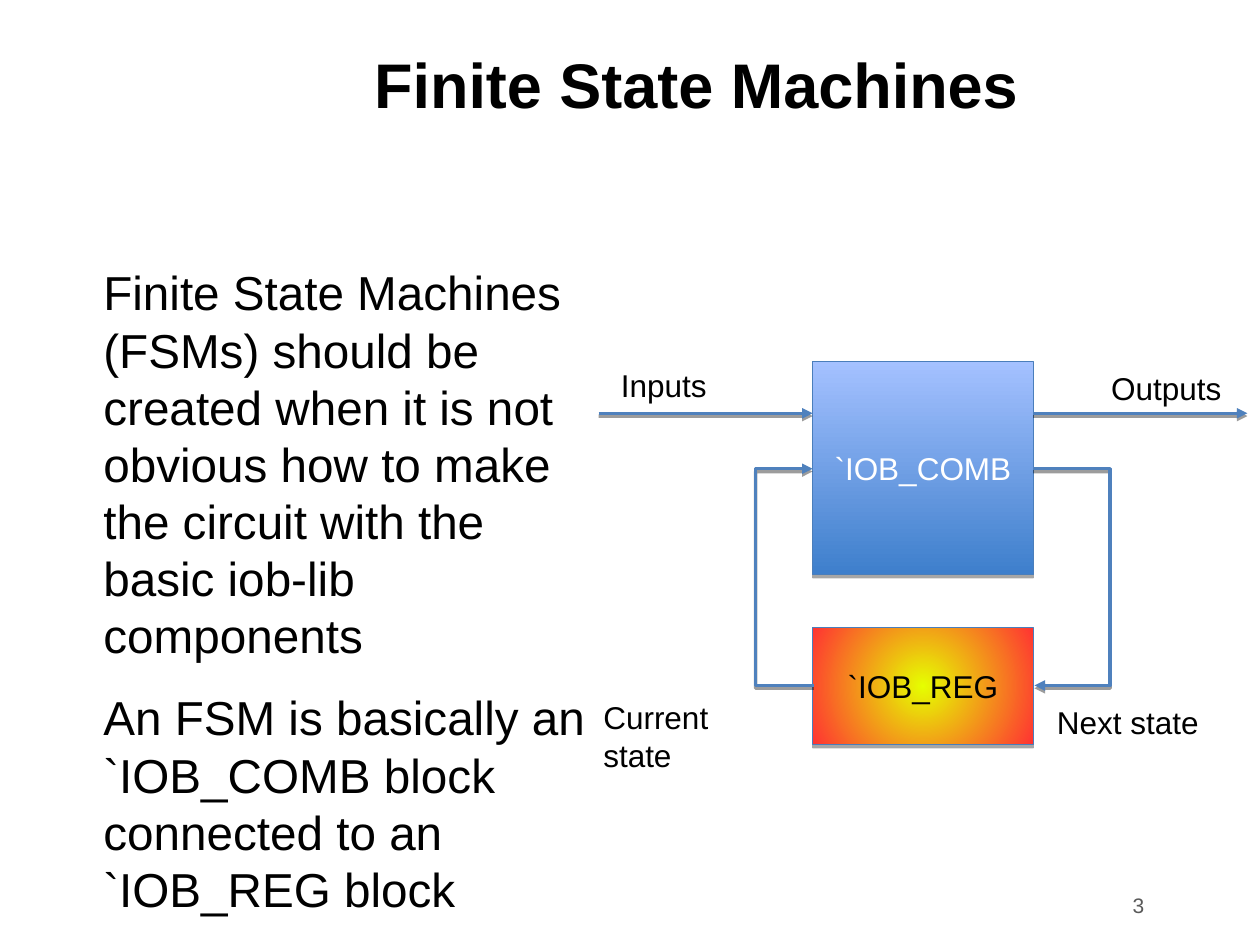
from lxml.etree import SubElement as Sub
from pptx import Presentation
from pptx.dml.color import RGBColor as Rgb
from pptx.enum.shapes import MSO_CONNECTOR as Link, MSO_SHAPE as Form
from pptx.enum.text import MSO_ANCHOR as Anchor, MSO_AUTO_SIZE as Fit, PP_ALIGN as Align
from pptx.oxml.ns import qn
from pptx.util import Inches, Pt

THEME = {
    "face": "Arial",
    "ink": "000000", "white": "FFFFFF", "grey": "595959",
    "edge": "4A7EBB", "wire": "4F81BD",
    "cool": ("3E7FCC", "A4C1FF"), "warm": ("E6FF00", "FF3333"),
    "title": 36, "body": 27.2, "label": 18, "page": 12,
}
COLS, ROWS = 100, 75

TITLE = "Finite State Machines"
POINTS = [
    "Finite State Machines (FSMs) should be created when it is not obvious "
    "how to make the circuit with the basic iob-lib components",
    "An FSM is basically an `IOB_COMB block connected to an `IOB_REG block",
]
LEFT, RIGHT = 64.5, 82
BLOCKS = [
    ("`IOB_COMB", 28.7, 16.9, "cool", "white", False),
    ("`IOB_REG", 49.8, 9.3, "warm", "ink", True),
]
LABELS = [
    ("Inputs", 48.3, 28.6, 9.5),
    ("Outputs", 87.2, 28.8, 11),
    ("Next state", 82.9, 55.3, 14),
    ("Current state", 46.9, 54.9, 16),
]
PORT, HIGH, LOW = 32.8, 37.2, 54.4
FLOWS = [(47.5, LEFT), (RIGHT, 99)]
LOOPS = [(RIGHT, 6.2, 0), (LEFT, 4.7, 180)]
STEP = 0.1

deck = Presentation()
deck.slide_width, deck.slide_height = Inches(10), Inches(7.5)
slide = deck.slides.add_slide(deck.slide_layouts[1])
shapes = slide.shapes


def col(num):
    return round(deck.slide_width * num / COLS)


def row(num):
    return round(deck.slide_height * num / ROWS)


def area(left, top, width, height):
    return col(left), row(top), col(width), row(height)


def place(shape, *cells):
    names = ("left", "top", "width", "height")
    for name, value in zip(names, area(*cells)):
        setattr(shape, name, value)


def write(shape, lines, size, tint="ink", align=Align.LEFT, bold=False, **frame):
    box = shape.text_frame
    for key, value in {"word_wrap": True, "auto_size": Fit.NONE, **frame}.items():
        setattr(box, key, value)
    box.text = "\n".join(lines)
    look = {"name": THEME["face"], "size": Pt(THEME[size]), "bold": bold}
    for para in box.paragraphs:
        para.alignment = align
        for run in para.runs:
            for key, value in look.items():
                setattr(run.font, key, value)
            run.font.color.rgb = Rgb.from_string(THEME[tint])
    return box.paragraphs


def shade(shape, drop, alpha):
    effect = Sub(shape._element.spPr, qn("a:effectLst"))
    outer = Sub(effect, qn("a:outerShdw"), blurRad="0", dist=str(Pt(drop)),
                dir="5400000", rotWithShape="0")
    color = Sub(outer, qn("a:srgbClr"), val=THEME["ink"])
    Sub(color, qn("a:alpha"), val=str(alpha * 1000))


def stroke(shape, tint, width):
    shape.line.color.rgb = Rgb.from_string(THEME[tint])
    shape.line.width = Pt(width)


def blend(shape, tints, round_fill):
    shape.fill.gradient()
    for stop, tint in zip(shape.fill.gradient_stops, tints):
        stop.color.rgb = Rgb.from_string(tint)
    if not round_fill:
        shape.fill.gradient_angle = 90
        return
    grad = shape._element.spPr.find(qn("a:gradFill"))
    grad.remove(grad.find(qn("a:lin")))
    sweep = Sub(grad, qn("a:path"), path="circle")
    Sub(sweep, qn("a:fillToRect"), {side: "50000" for side in "ltrb"})


def arrow(kind, start, top, end, low):
    wire = shapes.add_connector(kind, col(start), row(top), col(end), row(low))
    stroke(wire, "wire", 2)
    Sub(wire.line._get_or_add_ln(), qn("a:tailEnd"), type="triangle")
    shade(wire, 1.6, 38)
    return wire


title, body = shapes.title, slide.placeholders[1]
place(title, 28.7, 1.9, 56.9, 9.5)
write(title, [TITLE], "title", bold=True, vertical_anchor=Anchor.MIDDLE)

place(body, 3.5, 20.9, 43, 45.4)
sides = ("left", "top", "right", "bottom")
points = write(body, POINTS, "body", **{f"margin_{side}": 0 for side in sides})
for num, para in enumerate(points):
    props = para._p.get_or_add_pPr()
    props.set("marL", str(col(4.7)))
    props.set("indent", "0")
    para.line_spacing = 1.0
    para.space_before = Pt(14.2 if num else 0)
    Sub(props, qn("a:buNone"))

for text, top, height, fill, tint, round_fill in BLOCKS:
    block = shapes.add_shape(Form.RECTANGLE, *area(LEFT, top, RIGHT - LEFT, height))
    blend(block, THEME[fill], round_fill)
    stroke(block, "edge", 0.75)
    shade(block, 1.8, 35)
    write(block, [text], "label", tint, Align.CENTER, vertical_anchor=Anchor.MIDDLE)

for start, end in FLOWS:
    arrow(Link.STRAIGHT, start, PORT, end, PORT)

for side, reach, turn in LOOPS:
    loop = arrow(Link.ELBOW, side, HIGH, side + STEP, LOW)
    loop._element.spPr.xfrm.set("rot", str(turn * 60000))
    guides = loop._element.spPr.find(qn("a:prstGeom")).find(qn("a:avLst"))
    Sub(guides, qn("a:gd"), name="adj1", fmla=f"val {round(reach / STEP * 100000)}")

for text, left, top, width in LABELS:
    write(shapes.add_textbox(*area(left, top, width, 4)), [text], "label")

page = shapes.add_textbox(*area(71.8, 70.1, 20, 3.4))
write(page, ["3"], "page", "grey", Align.RIGHT, vertical_anchor=Anchor.MIDDLE)

deck.save("out.pptx")
